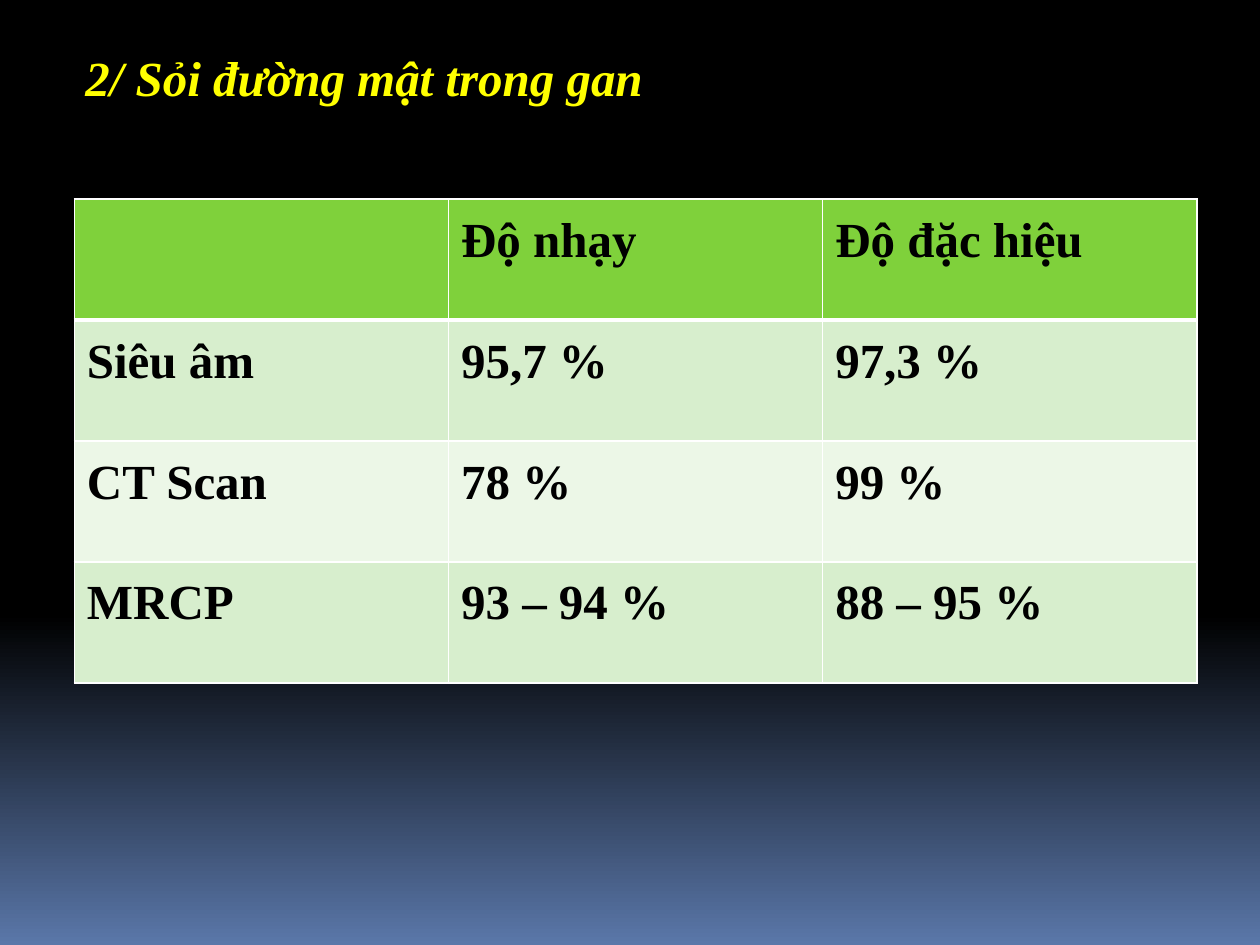
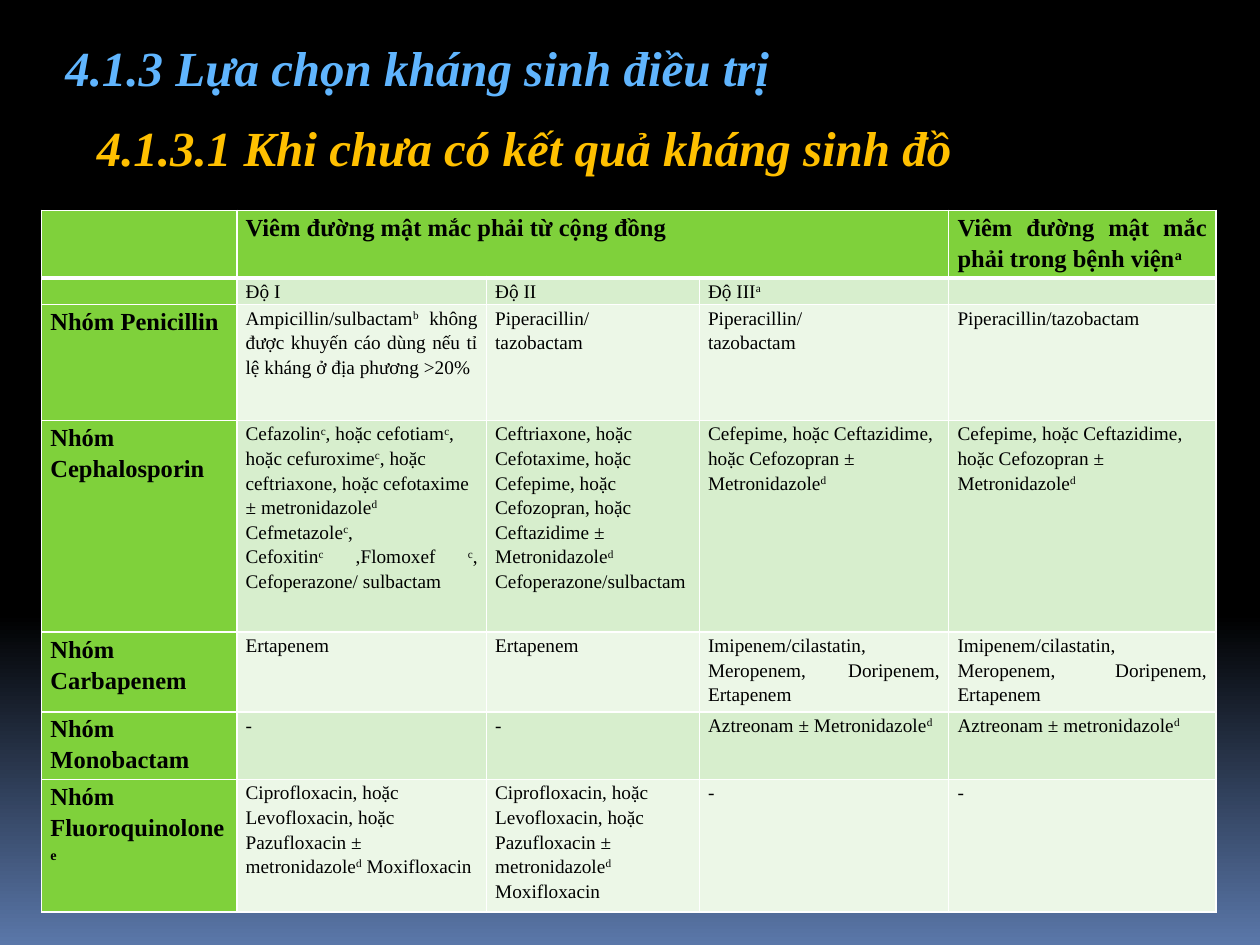
from dataclasses import dataclass
from typing import Any

import lxml.etree
import pptx
import pptx.dml.color
import pptx.enum.text
import pptx.oxml.ns
import pptx.util
from pptx.util import Inches

FONT = "Times New Roman"
BLACK, WHITE, NIGHT_BLUE = "000000", "FFFFFF", "5A77A9"
YELLOW, SKY, AMBER = "FFFF00", "60B5FE", "FFC000"
GREEN = "7FD13B"
BANDS = ("ECF7E7", "D7EECD")
Align = pptx.enum.text.PP_ALIGN


@dataclass
class Heading:
    text: str
    left: float
    top: float
    width: float
    colour: str


@dataclass
class Grid:
    left: float
    top: float
    widths: list[float]
    heights: list[float]
    rows: list[list[str]]
    head_size: int
    body_size: int
    body_bold: bool
    side_margin: float
    end_margin: float
    green_first_column: bool = False
    header_span: tuple[int, int] | None = None


def rgb(colour: str) -> pptx.dml.color.RGBColor:
    return pptx.dml.color.RGBColor.from_string(colour)


def style_font(font: Any, size: int, colour: str, bold: bool, italic: bool = False) -> None:
    font.name = FONT
    font.size = pptx.util.Pt(size)
    font.color.rgb = rgb(colour)
    font.bold = bold
    font.italic = italic


def add_page(deck: Any) -> Any:
    page = deck.slides.add_slide(deck.slide_layouts[6])
    fill = page.background.fill
    fill.gradient()
    fill.gradient_angle = 270
    for stop, position, colour in zip(fill.gradient_stops, (0.65, 1), (BLACK, NIGHT_BLUE)):
        stop.position = position
        stop.color.rgb = rgb(colour)
    return page


def add_heading(page: Any, heading: Heading) -> None:
    box = page.shapes.add_textbox(
        Inches(heading.left), Inches(heading.top), Inches(heading.width), Inches(0.57))
    frame = box.text_frame
    frame.word_wrap = True
    frame.auto_size = pptx.enum.text.MSO_AUTO_SIZE.SHAPE_TO_FIT_TEXT
    para = frame.paragraphs[0]
    para.text = heading.text
    style_font(para.font, 28, heading.colour, bold=True, italic=True)


def add_span(para: Any, text: str, raised: bool = False) -> None:
    if text:
        span = para.add_run()
        span.text = text
        if raised:
            span.font._element.set("baseline", "30000")


def write_cell(cell: Any, text: str, size: int, bold: bool) -> None:
    """Write one paragraph per line; the letter after each ^ is a superscript."""
    frame = cell.text_frame
    for number, line in enumerate(text.split("\n")):
        para = frame.add_paragraph() if number else frame.paragraphs[0]
        para.alignment = Align.LEFT if "±" in line else Align.JUSTIFY
        para.line_spacing = 1.15
        style_font(para.font, size, BLACK, bold)
        plain, *noted = line.split("^")
        add_span(para, plain)
        for piece in noted:
            add_span(para, piece[0], raised=True)
            add_span(para, piece[1:])
        if not line:
            end = lxml.etree.SubElement(para._p, pptx.oxml.ns.qn("a:endParaRPr"))
            end.set("sz", str(size * 100))


def set_borders(cell: Any, top: float, bottom: float) -> None:
    properties = cell._tc.get_or_add_tcPr()
    for side, width in (("L", 1), ("R", 1), ("T", top), ("B", bottom)):
        line = lxml.etree.SubElement(properties, pptx.oxml.ns.qn(f"a:ln{side}"))
        line.set("w", str(pptx.util.Pt(width)))
        fill = lxml.etree.SubElement(line, pptx.oxml.ns.qn("a:solidFill"))
        lxml.etree.SubElement(fill, pptx.oxml.ns.qn("a:srgbClr")).set("val", WHITE)


def add_grid(page: Any, grid: Grid) -> None:
    table = page.shapes.add_table(
        len(grid.heights), len(grid.widths), Inches(grid.left), Inches(grid.top),
        Inches(sum(grid.widths)), Inches(sum(grid.heights))).table
    table.first_row = table.horz_banding = False
    for column, width in zip(table.columns, grid.widths):
        column.width = Inches(width)
    for row, height in zip(table.rows, grid.heights):
        row.height = Inches(height)
    for r, texts in enumerate(grid.rows):
        for c, text in enumerate(texts):
            cell = table.cell(r, c)
            cell.margin_left = cell.margin_right = Inches(grid.side_margin)
            cell.margin_top = cell.margin_bottom = Inches(grid.end_margin)
            is_head = r == 0 or (grid.green_first_column and c == 0)
            set_borders(cell, top=3 if r == 1 else 1, bottom=3 if r == 0 else 1)
            cell.fill.solid()
            cell.fill.fore_color.rgb = rgb(GREEN if is_head else BANDS[r % 2])
            # An empty cell takes the small size so that it cannot stretch its row.
            size = grid.head_size if is_head and text else grid.body_size
            write_cell(cell, text, size, is_head or grid.body_bold)
    if grid.header_span:
        first, last = grid.header_span
        table.cell(0, first).merge(table.cell(0, last))


ACCURACY = Grid(
    left=0.59, top=1.58, widths=[2.97] * 3, heights=[0.96] * 4,
    head_size=28, body_size=28, body_bold=True, side_margin=0.1, end_margin=0.05,
    rows=[
        ["", "Độ nhạy", "Độ đặc hiệu"],
        ["Siêu âm", "95,7 %", "97,3 %"],
        ["CT Scan", "78 %", "99 %"],
        ["MRCP", "93 – 94 %", "88 – 95 %"],
    ],
)

PIPERACILLIN = "Piperacillin/\ntazobactam"
CEFEPIME = "Cefepime, hoặc Ceftazidime, hoặc Cefozopran ± Metronidazole^d"
IMIPENEM = "Imipenem/cilastatin, Meropenem, Doripenem, Ertapenem"
CIPROFLOXACIN = ("Ciprofloxacin, hoặc Levofloxacin, hoặc Pazufloxacin ± "
                 "metronidazole^d Moxifloxacin")

ANTIBIOTICS = Grid(
    left=0.33, top=1.67, widths=[1.55, 1.98, 1.69, 1.98, 2.12],
    heights=[0.53, 0.21, 0.92, 1.68, 0.63, 0.53, 1.05],
    head_size=14, body_size=11, body_bold=False, side_margin=0.07, end_margin=0,
    green_first_column=True, header_span=(1, 3),
    rows=[
        ["", "Viêm đường mật mắc phải từ cộng đồng", "", "",
         "Viêm đường mật mắc phải trong bệnh viện^a"],
        ["", "Độ I", "Độ II", "Độ III^a", ""],
        ["Nhóm Penicillin",
         "Ampicillin/sulbactam^b không được khuyến cáo dùng nếu tỉ lệ kháng "
         "ở địa phương >20%",
         PIPERACILLIN, PIPERACILLIN, "Piperacillin/tazobactam"],
        ["Nhóm Cephalosporin",
         "Cefazolin^c, hoặc cefotiam^c, hoặc cefuroxime^c, hoặc ceftriaxone, "
         "hoặc cefotaxime ± metronidazole^d\n"
         "Cefmetazole^c, Cefoxitin^c ,Flomoxef ^c, Cefoperazone/ sulbactam",
         "Ceftriaxone, hoặc Cefotaxime, hoặc Cefepime, hoặc Cefozopran, "
         "hoặc Ceftazidime ± Metronidazole^d\nCefoperazone/sulbactam",
         CEFEPIME, CEFEPIME],
        ["Nhóm Carbapenem", "Ertapenem", "Ertapenem", IMIPENEM, IMIPENEM],
        ["Nhóm Monobactam", "-", "-",
         "Aztreonam ± Metronidazole^d", "Aztreonam ± metronidazole^d"],
        ["Nhóm Fluoroquinolone^e", CIPROFLOXACIN, CIPROFLOXACIN, "-", "-"],
    ],
)

PAGES = [
    ([Heading("2/ Sỏi đường mật trong gan", 0.58, 0.33, 7.25, YELLOW)], ACCURACY),
    ([Heading("4.1.3 Lựa chọn kháng sinh điều trị", 0.42, 0.25, 7.75, SKY),
      Heading("4.1.3.1 Khi chưa có kết quả kháng sinh đồ", 0.67, 0.88, 8.08, AMBER)],
     ANTIBIOTICS),
]


def main() -> None:
    deck = pptx.Presentation()
    deck.slide_width, deck.slide_height = Inches(10), Inches(7.5)
    for headings, grid in PAGES:
        page = add_page(deck)
        for heading in headings:
            add_heading(page, heading)
        add_grid(page, grid)
    deck.save("out.pptx")


if __name__ == "__main__":
    main()
